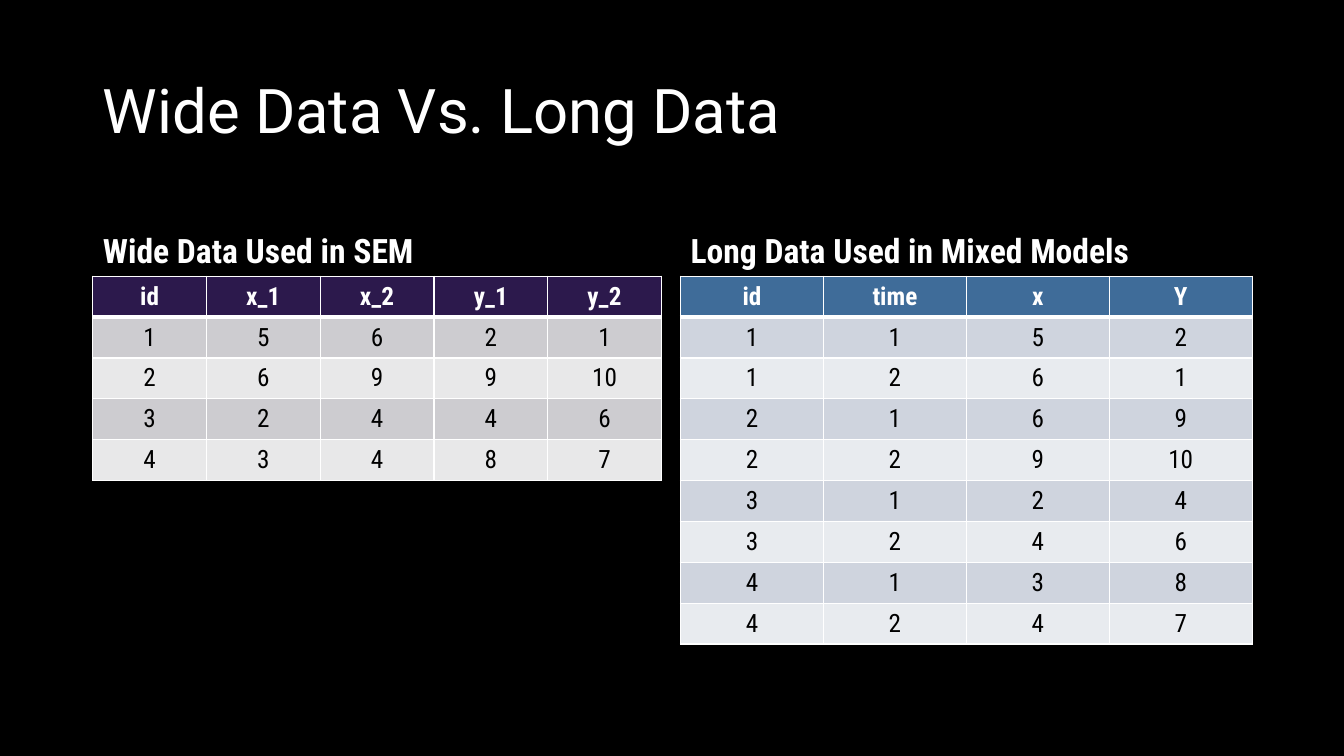
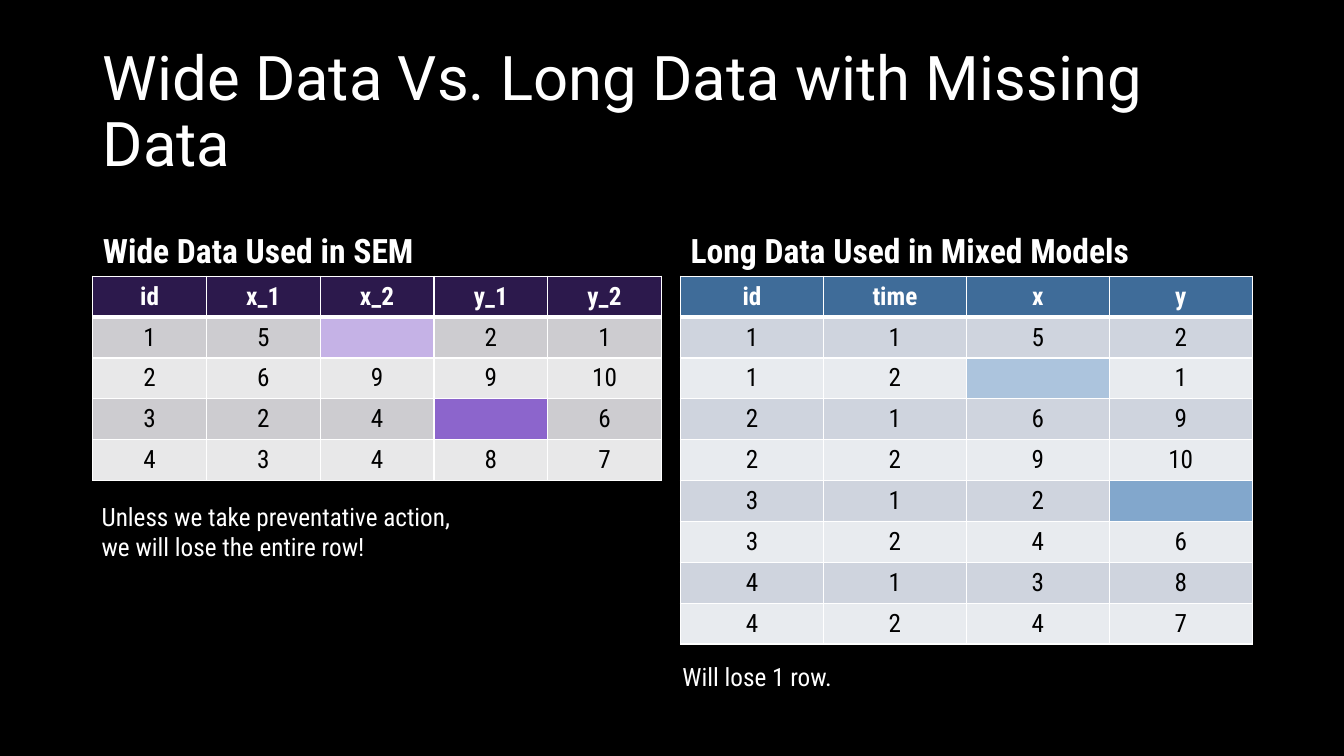
"""Build two slides that set wide data tables beside long ones."""
from lxml import etree
from pptx import Presentation
from pptx.dml.color import RGBColor
from pptx.enum.text import MSO_ANCHOR, MSO_AUTO_SIZE, PP_ALIGN
from pptx.oxml.ns import qn
from pptx.util import Inches, Pt

LEFT, CENTER = PP_ALIGN.LEFT, PP_ALIGN.CENTER
MIDDLE, BOTTOM = MSO_ANCHOR.MIDDLE, MSO_ANCHOR.BOTTOM
FIXED = MSO_AUTO_SIZE.NONE

BLACK = RGBColor(0x00, 0x00, 0x00)
WHITE = RGBColor(0xFF, 0xFF, 0xFF)
PLUM = RGBColor(0x2C, 0x19, 0x4C)
GRAY = RGBColor(0xCD, 0xCC, 0xD0)
PALE_GRAY = RGBColor(0xE8, 0xE8, 0xE9)
LILAC = RGBColor(0xC5, 0xB2, 0xE6)
VIOLET = RGBColor(0x8C, 0x65, 0xCC)
BLUE = RGBColor(0x3F, 0x6C, 0x99)
MIST = RGBColor(0xCF, 0xD4, 0xDE)
PALE_MIST = RGBColor(0xE8, 0xEB, 0xEF)
SKY = RGBColor(0xAC, 0xC4, 0xDD)
AZURE = RGBColor(0x82, 0xA7, 0xCC)

HEAD_FONT, BODY_FONT = "Roboto", "Roboto Condensed"
WIDE_X, WIDE_W = Inches(0.92), Inches(5.64)
LONG_X, LONG_W = Inches(6.75), Inches(5.67)
LABEL_Y, TABLE_Y = Inches(1.84), Inches(2.74)
ROW_H = round(Inches(3.65) / 9)
THIN, THICK = Pt(1), Pt(3)
COMPARE = 4

WIDE_HEAD = "id x_1 x_2 y_1 y_2"
WIDE_ROWS = ["1 5 6 2 1", "2 6 9 9 10", "3 2 4 4 6", "4 3 4 8 7"]
LONG_ROWS = ["1 1 5 2", "1 2 6 1", "2 1 6 9", "2 2 9 10",
             "3 1 2 4", "3 2 4 6", "4 1 3 8", "4 2 4 7"]
WIDE_TONES = (PLUM, GRAY, PALE_GRAY)
LONG_TONES = (BLUE, MIST, PALE_MIST)


def style(para, size, color=WHITE, name=BODY_FONT, bold=False, align=LEFT):
    """Set the font and alignment of a paragraph."""
    para.alignment = align
    font = para.font
    font.size, font.name, font.bold = Pt(size), name, bold
    font.color.rgb = color


def fill_holder(shape, box, text, anchor, size, **look):
    """Place a placeholder and give it one styled line of text."""
    shape.left, shape.top, shape.width, shape.height = box
    frame = shape.text_frame
    frame.text = text
    frame.auto_size = FIXED
    frame.vertical_anchor = anchor
    para = frame.paragraphs[0]
    para.line_spacing = 0.9
    para.space_before = Pt(0)
    style(para, size, **look)


def add_edges(cell, widths):
    """Draw white borders on a cell, left, right, top and bottom."""
    props = cell._tc.get_or_add_tcPr()
    for spot, (side, width) in enumerate(zip("LRTB", widths)):
        line = etree.Element(qn(f"a:ln{side}"), w=str(width))
        solid = etree.SubElement(line, qn("a:solidFill"))
        etree.SubElement(solid, qn("a:srgbClr"), val=str(WHITE))
        props.insert(spot, line)


def add_grid(slide, left, width, lines, tones, gaps):
    """Add a banded table whose gaps are empty cells in a colour."""
    rows = [line.split() for line in lines]
    grid = slide.shapes.add_table(len(rows), len(rows[0]), left, TABLE_Y,
                                  width, ROW_H * len(rows)).table
    head, odd, even = tones
    for r, row in enumerate(rows):
        tone = head if r == 0 else odd if r % 2 else even
        top = THICK if r == 1 else THIN
        base = THICK if r == 0 else THIN
        for c, text in enumerate(row):
            cell = grid.cell(r, c)
            cell.text = "" if (r, c) in gaps else text
            cell.vertical_anchor = MIDDLE
            cell.fill.solid()
            cell.fill.fore_color.rgb = gaps.get((r, c), tone)
            add_edges(cell, (THIN, THIN, top, base))
            style(cell.text_frame.paragraphs[0], 18,
                  color=BLACK if r else WHITE, bold=r == 0, align=CENTER)


def add_note(slide, left, top, width, height, *lines):
    """Add a short note of one or more lines."""
    box = slide.shapes.add_textbox(Inches(left), Inches(top),
                                   Inches(width), Inches(height))
    box.text_frame.word_wrap = True
    para = box.text_frame.paragraphs[0]
    for spot, line in enumerate(lines):
        if spot:
            para.add_line_break()
        para.add_run().text = line
    style(para, 18)


def add_slide(prs, title, long_head, wide_gaps, long_gaps):
    """Add a slide with a title and the two labelled tables."""
    slide = prs.slides.add_slide(prs.slide_layouts[COMPARE])
    holders = slide.placeholders
    fill_holder(slide.shapes.title,
                (WIDE_X, Inches(0.4), Inches(11.5), Inches(1.45)),
                title, MIDDLE, 44, name=HEAD_FONT)
    for key, left, width, label in (
            (1, WIDE_X, WIDE_W, "Wide Data Used in SEM"),
            (3, LONG_X, LONG_W, "Long Data Used in Mixed Models")):
        fill_holder(holders[key], (left, LABEL_Y, width, Inches(0.9)),
                    label, BOTTOM, 24, bold=True)
    for key in (2, 4):
        spare = holders[key].element
        spare.getparent().remove(spare)
    add_grid(slide, WIDE_X, WIDE_W, [WIDE_HEAD] + WIDE_ROWS,
             WIDE_TONES, wide_gaps)
    add_grid(slide, LONG_X, LONG_W, [long_head] + LONG_ROWS,
             LONG_TONES, long_gaps)
    return slide


def main():
    """Build and save the deck."""
    prs = Presentation()
    prs.slide_width, prs.slide_height = Inches(13.33), Inches(7.5)
    back = prs.slide_master.background.fill
    back.solid()
    back.fore_color.rgb = BLACK

    add_slide(prs, "Wide Data Vs. Long Data", "id time x Y", {}, {})
    slide = add_slide(prs, "Wide Data Vs. Long Data with Missing Data",
                      "id time x y",
                      {(1, 2): LILAC, (3, 3): VIOLET},
                      {(2, 2): SKY, (5, 3): AZURE})
    add_note(slide, 0.91, 4.92, 3.9, 0.71,
             "Unless we take preventative action,",
             "we will lose the entire row!")
    add_note(slide, 6.67, 6.51, 1.9, 0.4, "Will lose 1 row.")
    prs.save("out.pptx")


if __name__ == "__main__":
    main()
